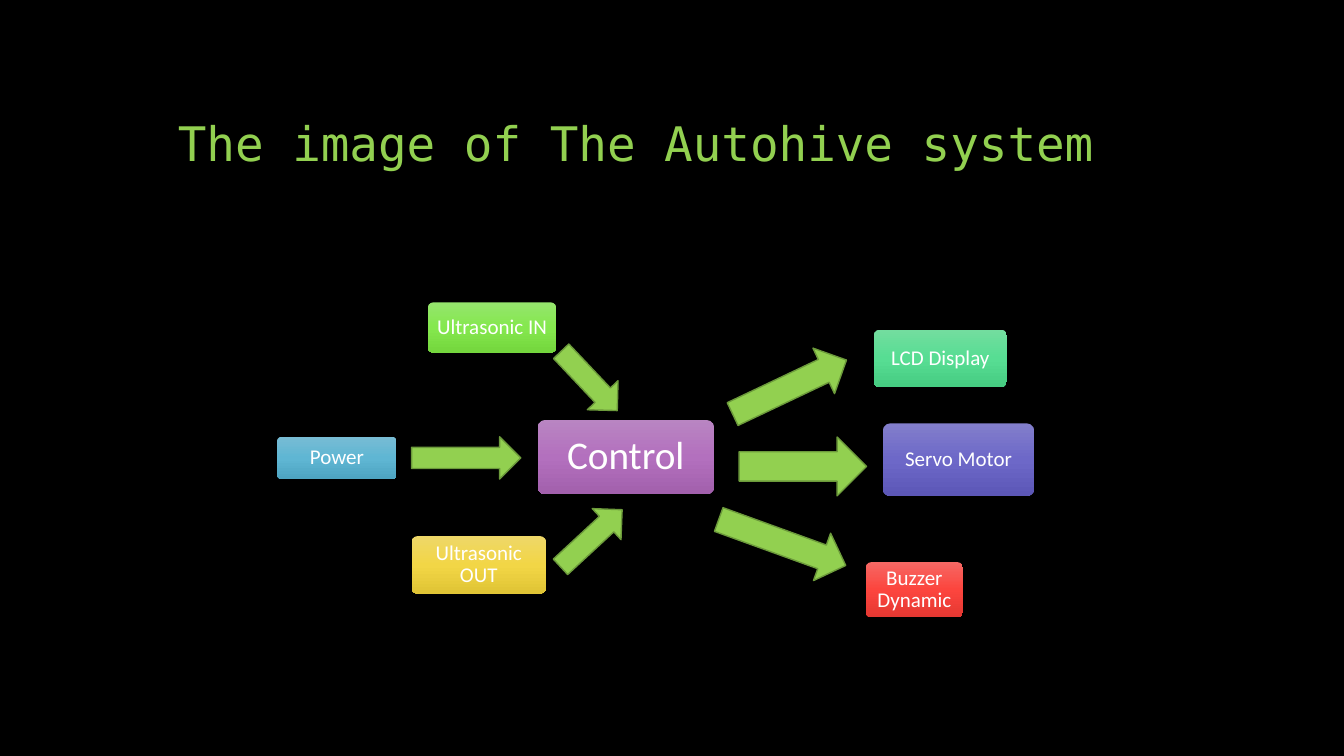
from copy import deepcopy

from pptx import Presentation
from pptx.dml.color import RGBColor
from pptx.enum.shapes import MSO_SHAPE
from pptx.enum.text import MSO_ANCHOR, PP_ALIGN
from pptx.oxml.ns import qn
from pptx.util import Pt

ROUNDED = MSO_SHAPE.ROUNDED_RECTANGLE
RIGHT_ARROW = MSO_SHAPE.RIGHT_ARROW
MIDDLE, BOTTOM = MSO_ANCHOR.MIDDLE, MSO_ANCHOR.BOTTOM
CENTER = PP_ALIGN.CENTER
GREEN, DARK_GREEN = "92D050", "6C9A3B"


def rgb(hex_code):
    return RGBColor.from_string(hex_code)


def write(frame, text, size, font, color):
    """Fill the frame's first paragraph with one styled run."""
    frame.word_wrap = True
    paragraph = frame.paragraphs[0]
    paragraph.line_spacing = 0.9
    run = paragraph.add_run()
    run.text = text
    run.font.size = Pt(size)
    run.font.name = font
    run.font.color.rgb = rgb(color)
    return paragraph


prs = Presentation()
prs.slide_width, prs.slide_height = Pt(960), Pt(540)
slide = prs.slides.add_slide(prs.slide_layouts[6])
slide.background.fill.solid()
slide.background.fill.fore_color.rgb = rgb("000000")

title = slide.shapes.add_textbox(Pt(120), Pt(36), Pt(720), Pt(90)).text_frame
title.vertical_anchor = BOTTOM
write(title, "The image of The Autohive system", 34, "DejaVu Sans Mono", GREEN)

# Components: label, text size, left, top, width, height, gradient colours
components = [
    ("Control", 28, 384, 300, 126, 53, ("B985C2", "B370BE", "A260AC")),
    ("Servo Motor", 15, 630.7, 302.4, 108, 51.8, ("827ECB", "6D68C8", "5C57B7")),
    ("Power", 15, 198, 312, 85.3, 30.2, ("78BCD4", "5FB6D3", "4EA5C2")),
    ("LCD Display", 15, 624.2, 235.5, 95, 41, ("73DD9F", "57DD93", "46CC82")),
    ("Ultrasonic IN", 15, 305.8, 216, 91.4, 35.8, ("95E56D", "85E84E", "74D63D")),
    ("Ultrasonic OUT", 15, 294, 383, 96, 41, ("EED768", "F2D646", "E0C435")),
    ("Buzzer Dynamic", 15, 618.5, 401.5, 69.3, 39.5, ("F66864", "FC453E", "E53832")),
]
for label, size, left, top, width, height, shades in components:
    box = slide.shapes.add_shape(ROUNDED, Pt(left), Pt(top), Pt(width), Pt(height))
    box.adjustments[0] = 0.1
    box.shadow.inherit = False
    box.line.fill.background()
    box.fill.gradient()
    box.fill.gradient_angle = 270
    first_stop = box._element.spPr.find(".//" + qn("a:gs"))
    first_stop.addnext(deepcopy(first_stop))
    for stop, position, shade in zip(box.fill.gradient_stops, (0, 0.5, 1), shades):
        stop.position = position
        stop.color.rgb = rgb(shade)
    frame = box.text_frame
    frame.margin_left = frame.margin_right = Pt(2)
    frame.margin_top = frame.margin_bottom = Pt(2)
    frame.vertical_anchor = MIDDLE
    write(frame, label, size, "Calibri", "FFFFFF").alignment = CENTER

# Signal arrows: left, top, width, height, rotation
signals = [
    (519, 258.5, 90, 36, 334.6),     # Control to LCD Display
    (528, 312.2, 91, 42, 0),         # Control to Servo Motor
    (510.5, 369.5, 96.5, 36, 19.9),  # Control to Buzzer Dynamic
    (294, 312, 78, 30.2, 0),         # Power to Control
    (391.7, 257, 58.3, 30.2, 46.6),  # Ultrasonic IN to Control
    (392.4, 369.4, 60, 30.2, 317.2), # Ultrasonic OUT to Control
]
for left, top, width, height, rotation in signals:
    arrow = slide.shapes.add_shape(RIGHT_ARROW, Pt(left), Pt(top), Pt(width), Pt(height))
    arrow.rotation = rotation
    arrow.shadow.inherit = False
    arrow.fill.solid()
    arrow.fill.fore_color.rgb = rgb(GREEN)
    arrow.line.color.rgb = rgb(DARK_GREEN)
    arrow.line.width = Pt(1)

prs.save("out.pptx")
